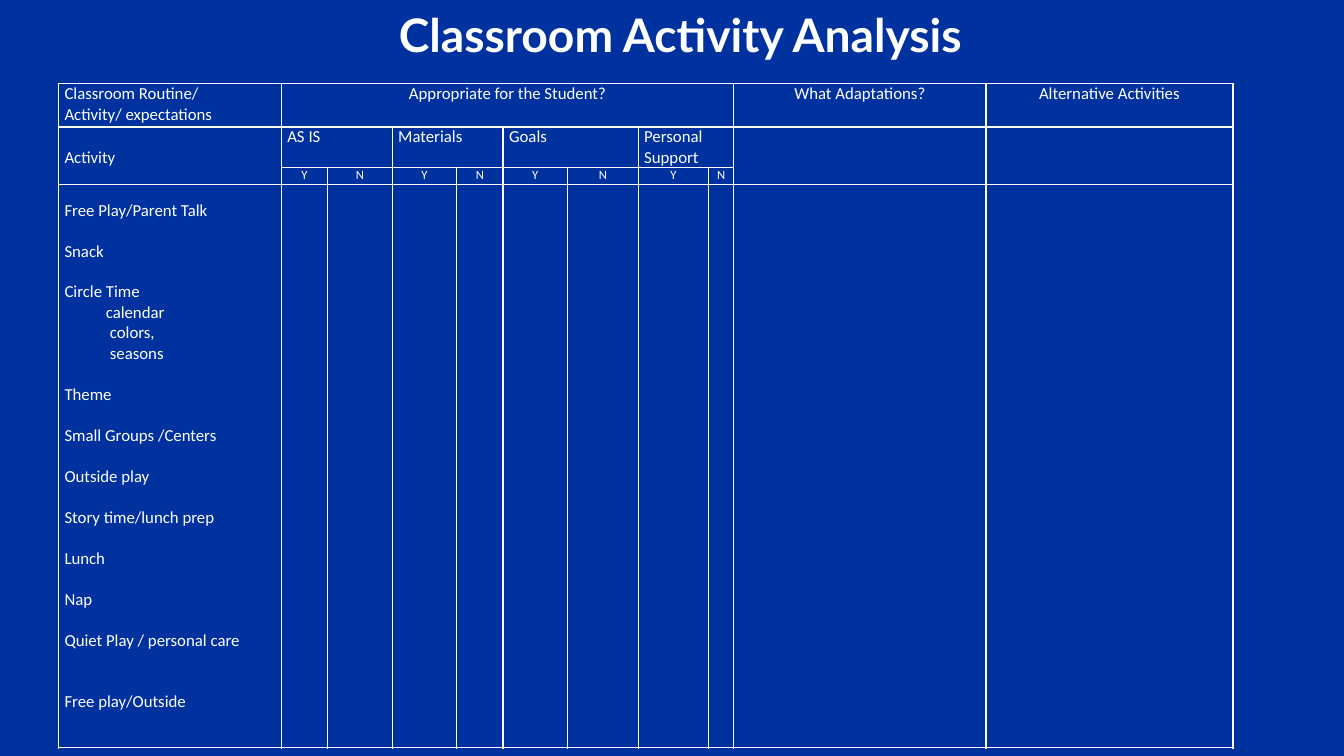
from dataclasses import dataclass

from lxml.etree import SubElement
from pptx import Presentation
from pptx.dml.color import RGBColor
from pptx.enum.text import MSO_ANCHOR, PP_ALIGN
from pptx.oxml.ns import qn
from pptx.util import Inches, Length, Pt

# Slide grid: 1333 columns by 750 rows
GRID_UNIT = Inches(0.01)
NAVY, WHITE = "00329F", "FFFFFF"
LINE_PT = 14.65  # one line of 12 pt table text
CALIBRI, LATO = "Calibri", "Lato"


@dataclass(frozen=True)
class Line:
    text: str
    gap: float = 0  # blank lines above
    indent: float = 0  # grid columns


@dataclass(frozen=True)
class Entry:
    row: int
    column: int
    lines: tuple[Line, ...] = ()
    rows: int = 1
    columns: int = 1
    size: float = 12
    centered: bool = False
    top: float = 0  # inset in grid rows


COLUMN_WIDTHS = [221, 46, 64, 64, 46, 64, 70, 70, 25, 250, 245]
ROW_HEIGHTS = [43, 40, 17, 559]
SUPPORTS = [("AS IS",), ("Materials",), ("Goals",), ("Personal", "Support")]
ROUTINE = (
    Line("Free Play/Parent Talk"),
    Line("Snack", 1),
    Line("Circle Time", 1),
    Line("calendar", indent=41),
    Line("colors,", indent=45),
    Line("seasons", indent=45),
    Line("Theme", 1),
    Line("Small Groups /Centers", 1),
    Line("Outside play", 1),
    Line("Story time/lunch prep", 1),
    Line("Lunch", 1),
    Line("Nap", 1),
    Line("Quiet Play / personal care", 1),
    Line("Free play/Outside", 2),
)


def units(count: float) -> Length:
    return Length(round(count * GRID_UNIT))


def color(hex_code: str) -> RGBColor:
    return RGBColor.from_string(hex_code)


def add_run(paragraph, text: str, size: float, font: str, bold: bool = False) -> None:
    run = paragraph.add_run()
    run.text = text
    run.font.size, run.font.name, run.font.bold = Pt(size), font, bold
    run.font.color.rgb = color(WHITE)


def style_cell(cell) -> None:
    cell.margin_left = cell.margin_right = units(6)
    cell.margin_top = cell.margin_bottom = 0
    properties = cell._tc.get_or_add_tcPr()
    for side in ("a:lnL", "a:lnR", "a:lnT", "a:lnB"):
        border = SubElement(properties, qn(side), w=str(Pt(1)))
        fill = SubElement(border, qn("a:solidFill"))
        SubElement(fill, qn("a:srgbClr"), val=WHITE)
    cell.fill.background()


def write_entry(table, entry: Entry) -> None:
    cell = table.cell(entry.row, entry.column)
    if entry.rows > 1 or entry.columns > 1:
        cell.merge(table.cell(entry.row + entry.rows - 1,
                              entry.column + entry.columns - 1))
    cell.margin_top = units(entry.top)
    frame = cell.text_frame
    for index, line in enumerate(entry.lines):
        paragraph = frame.add_paragraph() if index else frame.paragraphs[0]
        paragraph.alignment = PP_ALIGN.CENTER if entry.centered else PP_ALIGN.LEFT
        if line.gap:
            paragraph.space_before = Pt(line.gap * LINE_PT)
        if line.indent:
            paragraph._p.get_or_add_pPr().set("marL", str(units(line.indent)))
        add_run(paragraph, line.text, entry.size, CALIBRI)


def table_entries() -> list[Entry]:
    entries = [
        Entry(0, 0, (Line("Classroom Routine/"), Line("Activity/ expectations"))),
        Entry(0, 1, (Line("Appropriate for the Student?"),), columns=8, centered=True),
        Entry(0, 9, (Line("What Adaptations?"),), centered=True),
        Entry(0, 10, (Line("Alternative Activities"),), centered=True),
        Entry(1, 0, (Line("Activity"),), rows=2, top=20),
        Entry(1, 9, rows=2),
        Entry(1, 10, rows=2),
        Entry(3, 0, ROUTINE, top=15.5),
    ]
    # Each support spans a yes column and a no column
    for index, words in enumerate(SUPPORTS):
        first = 1 + 2 * index
        entries.append(Entry(1, first, tuple(map(Line, words)), columns=2))
        for offset, answer in enumerate("YN"):
            entries.append(Entry(2, first + offset, (Line(answer),),
                                 size=9, centered=True))
    return entries


def add_title(slide) -> None:
    box = slide.shapes.add_textbox(units(100), units(3), units(1150), units(68))
    frame = box.text_frame
    frame.word_wrap = True
    frame.vertical_anchor = MSO_ANCHOR.MIDDLE
    heading = frame.paragraphs[0]
    heading.alignment = PP_ALIGN.CENTER
    heading.line_spacing = 0.9
    add_run(heading, "Classroom Activity Analysis", 33, LATO, bold=True)


def add_analysis(slide) -> None:
    table = slide.shapes.add_table(
        len(ROW_HEIGHTS), len(COLUMN_WIDTHS), units(58), units(83),
        units(sum(COLUMN_WIDTHS)), units(sum(ROW_HEIGHTS))).table
    table.first_row = table.horz_banding = False
    for column, width in zip(table.columns, COLUMN_WIDTHS):
        column.width = units(width)
    for row, height in zip(table.rows, ROW_HEIGHTS):
        row.height = units(height)
    for cell in table.iter_cells():
        style_cell(cell)
    for entry in table_entries():
        write_entry(table, entry)
    # Empty cells keep a small text height so the rows stay low
    for cell in table.iter_cells():
        if not cell.text_frame.text:
            SubElement(cell.text_frame.paragraphs[0]._p, qn("a:endParaRPr"), sz="900")


def main() -> None:
    deck = Presentation()
    deck.slide_width, deck.slide_height = units(1333), units(750)
    slide = deck.slides.add_slide(deck.slide_layouts[6])
    slide.background.fill.solid()
    slide.background.fill.fore_color.rgb = color(NAVY)
    add_title(slide)
    add_analysis(slide)
    deck.save("out.pptx")


if __name__ == "__main__":
    main()
